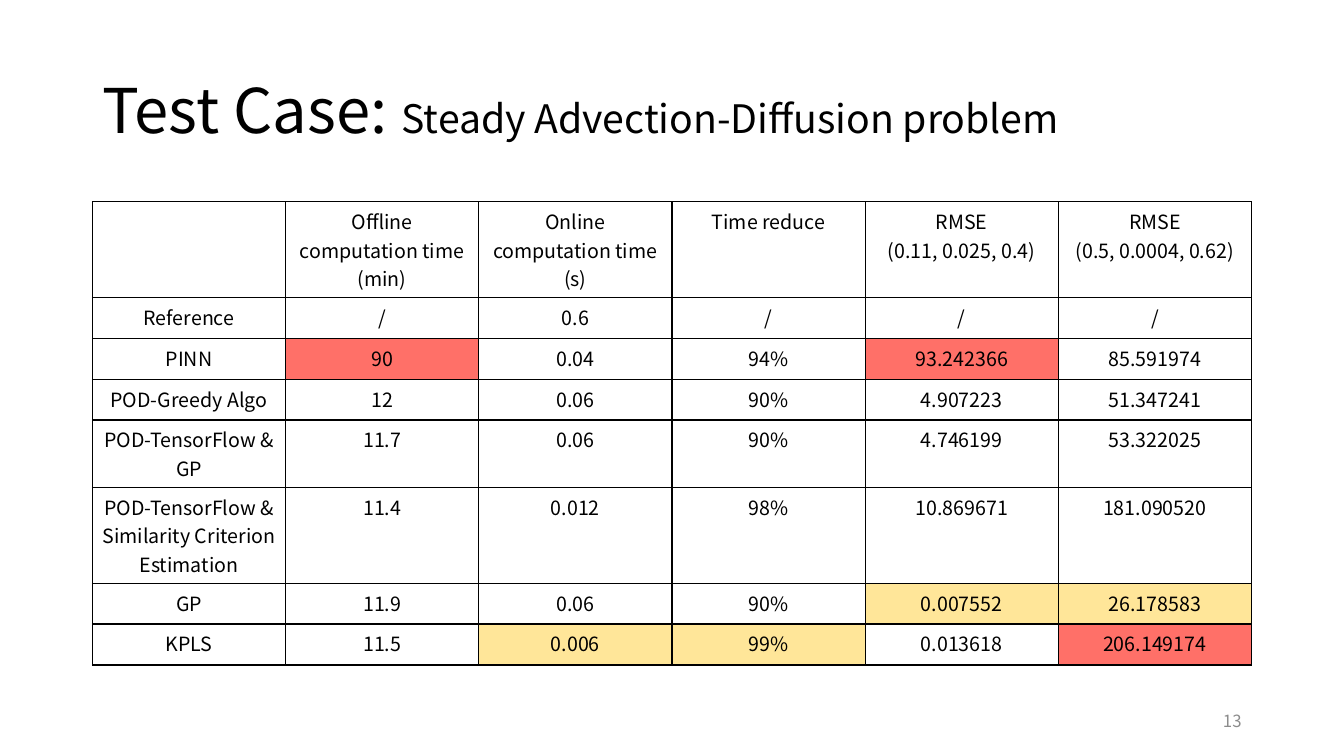
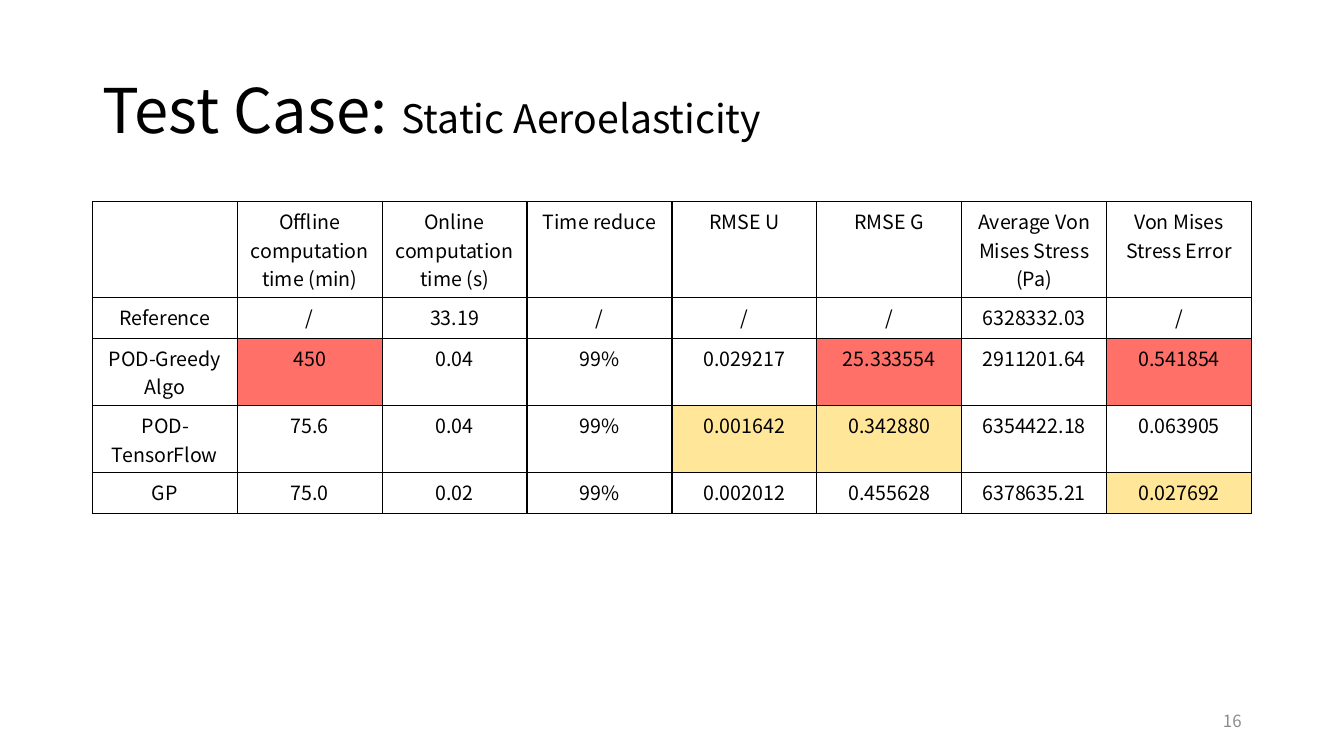
from dataclasses import dataclass

from lxml import etree
from pptx import Presentation
from pptx import util as u
from pptx.dml.color import RGBColor
from pptx.enum import text
from pptx.oxml import ns


@dataclass(frozen=True)
class Theme:
    font: str = "Noto Sans CJK SC"
    ink: str = "000000"
    muted: str = "8C8C8C"
    worst: str = "FF7068"
    best: str = "FFE699"
    title_size: int = 44
    subtitle_size: int = 28
    table_size: int = 14
    footer_size: int = 12


THEME = Theme()
LEFT, WIDTH = u.Cm(2.33), u.Cm(29.21)
TABLE_TOP, ROW_HEIGHT = u.Cm(5.08), u.Cm(1.03)
TITLE_ONLY = 5

ADVECTION_ROWS = [
    ["", "Offline computation time (min)", "Online computation time (s)",
     "Time reduce", "RMSE\n(0.11, 0.025, 0.4)", "RMSE\n(0.5, 0.0004, 0.62)"],
    ["Reference", "/", "0.6", "/", "/", "/"],
    ["PINN", "90", "0.04", "94%", "93.242366", "85.591974"],
    ["POD-Greedy Algo", "12", "0.06", "90%", "4.907223", "51.347241"],
    ["POD-TensorFlow & GP", "11.7", "0.06", "90%", "4.746199", "53.322025"],
    ["POD-TensorFlow & Similarity Criterion Estimation",
     "11.4", "0.012", "98%", "10.869671", "181.090520"],
    ["GP", "11.9", "0.06", "90%", "0.007552", "26.178583"],
    ["KPLS", "11.5", "0.006", "99%", "0.013618", "206.149174"],
]
AEROELASTICITY_ROWS = [
    ["", "Offline computation time (min)", "Online computation time (s)",
     "Time reduce", "RMSE U", "RMSE G", "Average Von Mises Stress (Pa)",
     "Von Mises Stress Error"],
    ["Reference", "/", "33.19", "/", "/", "/", "6328332.03", "/"],
    ["POD-Greedy Algo", "450", "0.04", "99%", "0.029217", "25.333554",
     "2911201.64", "0.541854"],
    ["POD-TensorFlow", "75.6", "0.04", "99%", "0.001642", "0.342880",
     "6354422.18", "0.063905"],
    ["GP", "75.0", "0.02", "99%", "0.002012", "0.455628",
     "6378635.21", "0.027692"],
]


def format_run(run, size, color=THEME.ink):
    run.font.name = THEME.font
    run.font.size = u.Pt(size)
    run.font.color.rgb = RGBColor.from_string(color)


def set_title(slide, subtitle):
    title = slide.shapes.title
    title.left, title.top = LEFT, u.Cm(1.01)
    title.width, title.height = WIDTH, u.Cm(3.68)
    frame = title.text_frame
    frame.auto_size = text.MSO_AUTO_SIZE.NONE
    frame.vertical_anchor = text.MSO_ANCHOR.MIDDLE
    paragraph = frame.paragraphs[0]
    paragraph.alignment = text.PP_ALIGN.LEFT
    paragraph.line_spacing = 0.9
    for wording, size in (("Test Case: ", THEME.title_size),
                          (subtitle, THEME.subtitle_size)):
        run = paragraph.add_run()
        run.text = wording
        format_run(run, size)


def add_page_number(slide, number):
    width = u.Cm(7.62)
    box = slide.shapes.add_textbox(LEFT + WIDTH - width, u.Cm(17.65),
                                   width, u.Cm(1.01))
    frame = box.text_frame
    frame.word_wrap = True
    frame.vertical_anchor = text.MSO_ANCHOR.MIDDLE
    frame.text = str(number)
    paragraph = frame.paragraphs[0]
    paragraph.alignment = text.PP_ALIGN.RIGHT
    format_run(paragraph.runs[0], THEME.footer_size, THEME.muted)


def add_borders(cell):
    """Put the four border lines ahead of the cell fill, as the schema asks."""
    properties = cell._tc.get_or_add_tcPr()
    for position, side in enumerate(("lnL", "lnR", "lnT", "lnB")):
        line = etree.Element(ns.qn(f"a:{side}"), w=str(u.Pt(1)))
        fill = etree.SubElement(line, ns.qn("a:solidFill"))
        etree.SubElement(fill, ns.qn("a:srgbClr"), val=THEME.ink)
        properties.insert(position, line)


def format_cell(cell, wording, fill):
    cell.text_frame.text = wording
    for paragraph in cell.text_frame.paragraphs:
        paragraph.alignment = text.PP_ALIGN.CENTER
        for run in paragraph.runs:
            format_run(run, THEME.table_size)
    if fill:
        cell.fill.solid()
        cell.fill.fore_color.rgb = RGBColor.from_string(fill)
    else:
        cell.fill.background()
    add_borders(cell)


def add_results_table(slide, rows, worst, best):
    """Fill a grid; worst and best hold the (row, column) of marked cells."""
    column_count = len(rows[0])
    table = slide.shapes.add_table(len(rows), column_count, LEFT, TABLE_TOP,
                                   WIDTH, ROW_HEIGHT * len(rows)).table
    table.first_row = table.horz_banding = False
    for column in table.columns:
        column.width = WIDTH // column_count
    fills = dict.fromkeys(worst, THEME.worst) | dict.fromkeys(best, THEME.best)
    for row, values in enumerate(rows):
        for column, wording in enumerate(values):
            format_cell(table.cell(row, column), wording,
                        fills.get((row, column)))


def add_results_slide(presentation, subtitle, number, rows, worst, best):
    layout = presentation.slide_layouts[TITLE_ONLY]
    slide = presentation.slides.add_slide(layout)
    set_title(slide, subtitle)
    add_results_table(slide, rows, worst, best)
    add_page_number(slide, number)


def main():
    presentation = Presentation()
    presentation.slide_width = u.Cm(33.87)
    presentation.slide_height = u.Cm(19.05)
    add_results_slide(presentation, "Steady Advection-Diffusion problem", 13,
                      ADVECTION_ROWS,
                      worst=[(2, 1), (2, 4), (7, 5)],
                      best=[(6, 4), (6, 5), (7, 2), (7, 3)])
    add_results_slide(presentation, "Static Aeroelasticity", 16,
                      AEROELASTICITY_ROWS,
                      worst=[(2, 1), (2, 5), (2, 7)],
                      best=[(3, 4), (3, 5), (4, 7)])
    presentation.save("out.pptx")


if __name__ == "__main__":
    main()
